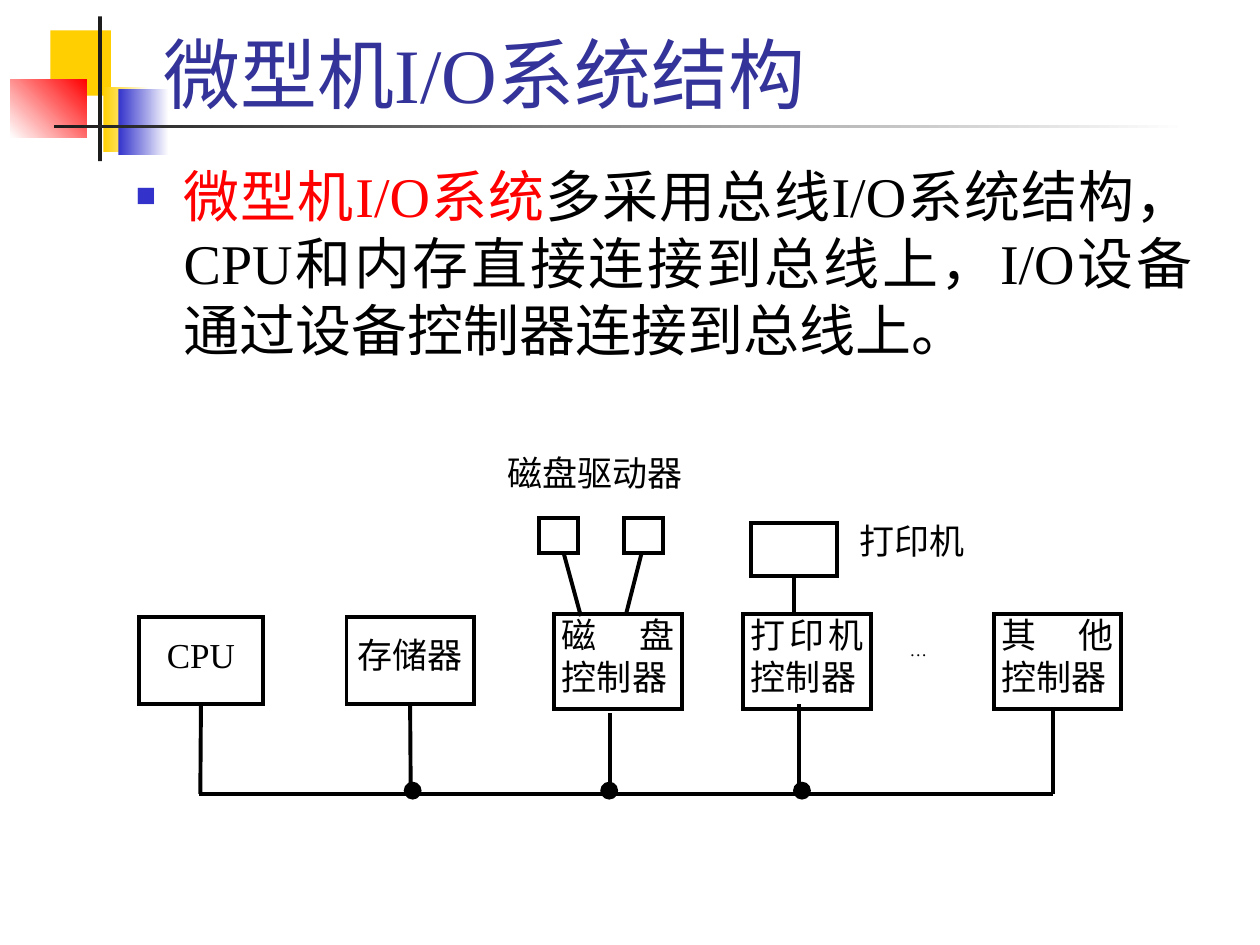
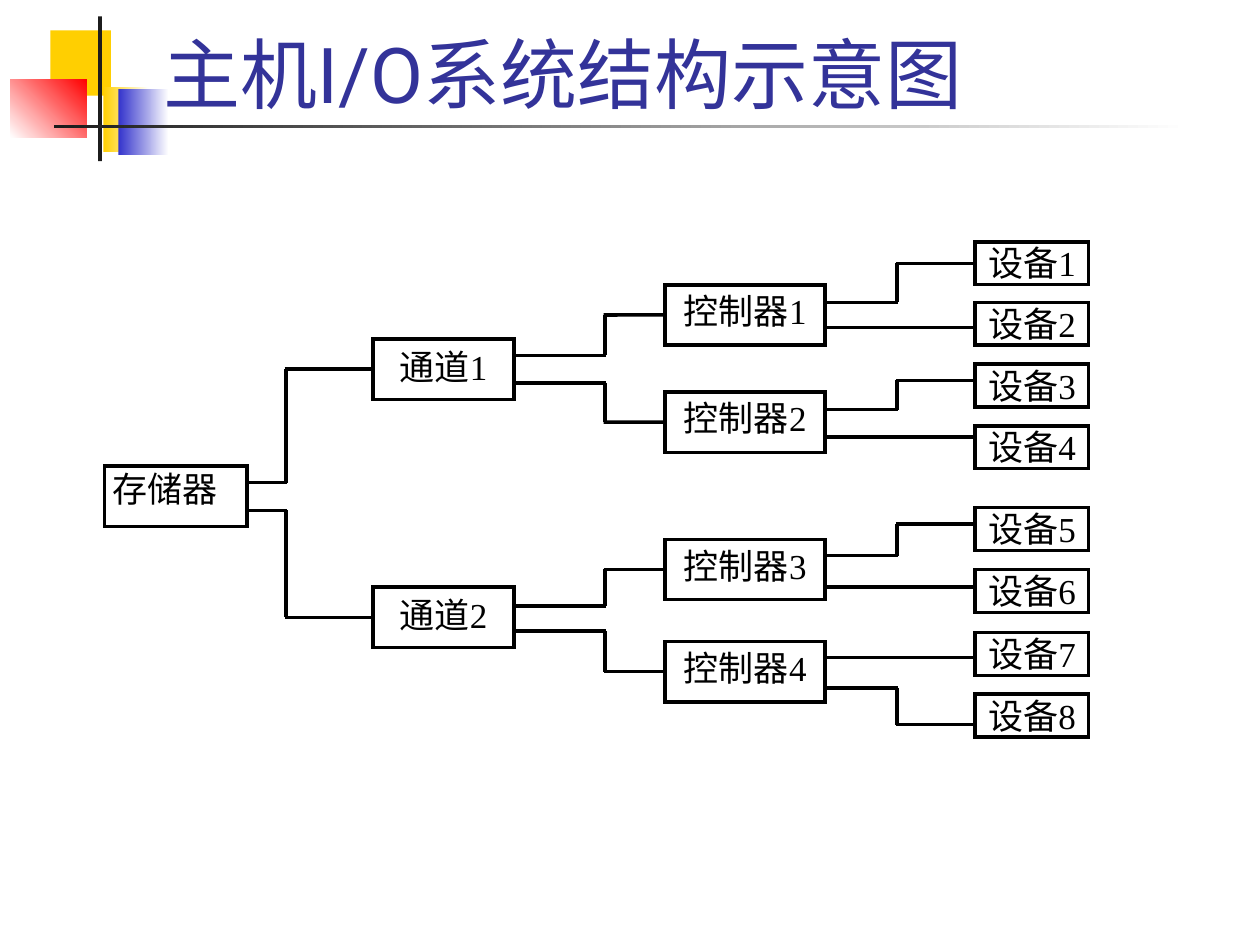
from dataclasses import dataclass
from typing import NamedTuple, Optional

import pptx
import pptx.dml.color
import pptx.enum.dml
import pptx.enum.shapes
import pptx.enum.text
import pptx.oxml
import pptx.oxml.ns
import pptx.util
from pptx.util import Inches

ALIGN = pptx.enum.text.PP_ALIGN
ANCHOR = pptx.enum.text.MSO_ANCHOR
PRESET = pptx.enum.shapes.MSO_SHAPE


@dataclass(frozen=True)
class Theme:
    ink: str = "000000"
    paper: str = "FFFFFF"
    heading: str = "333399"
    blue: str = "3333CC"
    yellow: str = "FFCF01"
    red: str = "FF0000"
    rule: str = "1C1C1C"
    serif: str = "Times New Roman"
    sans: str = "Roboto"
    heading_size: int = 44
    body_size: int = 32
    label_size: int = 20
    ellipsis_size: int = 10
    bus_weight: float = 2.25
    tree_weight: float = 2


THEME = Theme()


class Area(NamedTuple):
    left: float
    top: float
    width: float
    height: float


class Insets(NamedTuple):
    left: float = 0.1
    top: float = 0.05
    right: float = 0.1
    bottom: float = 0.05


class Band(NamedTuple):
    area: Area
    color: str
    fade_to: Optional[str] = None
    angle: int = 0


class Node(NamedTuple):
    label: str
    area: Area
    insets: Insets
    align: ALIGN = ALIGN.CENTER


class Joint(NamedTuple):
    shape: object
    site: int


class Branch(NamedTuple):
    source: str
    target: str
    exit_y: float
    entry_y: float


BANDS = [
    Band(Area(0.4, 0.24, 0.48, 0.52), THEME.yellow),
    Band(Area(0.82, 0.69, 0.36, 0.52), THEME.yellow, THEME.paper),
    Band(Area(0.94, 0.71, 0.4, 0.52), THEME.blue, THEME.paper),
    Band(Area(0.08, 0.63, 0.61, 0.46), THEME.paper, THEME.red, 45),
    Band(Area(0.78, 0.13, 0.03, 1.15), THEME.rule),
    Band(Area(0.43, 0.99, 9, 0.03), THEME.rule, THEME.paper),
]


def rgb(color: str) -> pptx.dml.color.RGBColor:
    return pptx.dml.color.RGBColor.from_string(color)


def apply(target: object, values: dict) -> None:
    for name, value in values.items():
        setattr(target, name, value)


def lengths(area: Area) -> list:
    return [Inches(value) for value in area]


def fill_frame(frame, runs, size: float, align=ALIGN.LEFT, insets=Insets(),
               anchor=ANCHOR.TOP, font: str = THEME.serif):
    """Write one paragraph of (text, color) runs."""
    apply(frame, {"word_wrap": True, "vertical_anchor": anchor})
    apply(frame, {f"margin_{side}": Inches(value)
                  for side, value in insets._asdict().items()})
    paragraph = frame.paragraphs[0]
    paragraph.alignment = align
    for text, color in runs:
        run = paragraph.add_run()
        run.text = text
        apply(run.font, {"name": font, "size": pptx.util.Pt(size)})
        run.font.color.rgb = rgb(color)
    return paragraph


def add_text(slide, area: Area, runs, size: float, **layout):
    return fill_frame(slide.shapes.add_textbox(*lengths(area)).text_frame,
                      runs, size, **layout)


def add_solid(slide, preset, area: Area, color: str, weight: float = 0):
    shape = slide.shapes.add_shape(preset, *lengths(area))
    shape.shadow.inherit = False
    shape.fill.solid()
    shape.fill.fore_color.rgb = rgb(color)
    if weight:
        shape.line.color.rgb = rgb(THEME.ink)
        shape.line.width = pptx.util.Pt(weight)
        # Square outline corners
        outline = shape.element.spPr.find(pptx.oxml.ns.qn("a:ln"))
        outline.append(outline.makeelement(pptx.oxml.ns.qn("a:miter"),
                                           {"lim": "800000"}))
    else:
        shape.line.fill.background()
    return shape


def add_node(slide, node: Node, weight: float):
    box = add_solid(slide, PRESET.RECTANGLE, node.area, THEME.paper, weight)
    fill_frame(box.text_frame, [(node.label, THEME.ink)], THEME.label_size,
               node.align, node.insets)
    return box


def add_wire(slide, start: tuple, end: tuple, weight: float,
             begin: Optional[Joint] = None, finish: Optional[Joint] = None):
    wire = slide.shapes.add_connector(
        pptx.enum.shapes.MSO_CONNECTOR.STRAIGHT,
        *[Inches(value) for value in (*start, *end)])
    wire.line.color.rgb = rgb(THEME.ink)
    wire.line.width = pptx.util.Pt(weight)
    properties = wire.element.spPr
    properties.append(properties.makeelement(pptx.oxml.ns.qn("a:effectLst"), {}))
    if begin:
        wire.begin_connect(*begin)
    if finish:
        wire.end_connect(*finish)


def add_page(deck, title: str, font: str):
    """Start a slide with the corner ornament and the title."""
    slide = deck.slides.add_slide(deck.slide_layouts[6])
    for band in BANDS:
        shape = add_solid(slide, PRESET.RECTANGLE, band.area, band.color)
        if band.fade_to:
            shape.fill.gradient()
            shape.fill.gradient_angle = band.angle
            stops = zip(shape.fill.gradient_stops, (band.color, band.fade_to), (0, 1))
            for stop, color, position in stops:
                stop.color.rgb = rgb(color)
                stop.position = position
    add_text(slide, Area(1.2, 0.16, 8.52, 0.83), [(title, THEME.heading)],
             THEME.heading_size, anchor=ANCHOR.BOTTOM, font=font)
    return slide


def add_square_bullet(paragraph) -> None:
    """Hang the text on a small square and keep punctuation in the margins."""
    properties = paragraph._p.get_or_add_pPr()
    for name, value in (("marL", Inches(0.38)), ("indent", Inches(-0.38)),
                        ("hangingPunct", 0)):
        properties.set(name, str(value))
    namespace = pptx.oxml.ns.nsdecls("a")
    for xml in (
        f'<a:buClr {namespace}><a:srgbClr val="{THEME.blue}"/></a:buClr>',
        f'<a:buSzPct {namespace} val="60000"/>',
        f'<a:buFont {namespace} typeface="{THEME.serif}"/>',
        f'<a:buChar {namespace} char="■"/>',
    ):
        properties.append(pptx.oxml.parse_xml(xml))


def build_bus_slide(deck) -> None:
    slide = add_page(deck, "微型机I/O系统结构", THEME.serif)
    weight = THEME.bus_weight
    summary = add_text(
        slide, Area(0.98, 1.23, 8.58, 1.79),
        [("微型机I/O系统", THEME.red),
         ("多采用总线I/O系统结构，CPU和内存直接连接到总线上，"
          "I/O设备通过设备控制器连接到总线上。", THEME.ink)],
        THEME.body_size, align=ALIGN.JUSTIFY)
    add_square_bullet(summary)

    # Units on the bus
    units = [
        Node("CPU", Area(1.1, 4.9, 0.99, 0.69), Insets(top=0.13)),
        Node("存储器", Area(2.75, 4.9, 1.01, 0.69), Insets(0.02, 0.13, 0.02)),
    ] + [
        Node(label, Area(left, 4.87, 1.01, 0.76), Insets(0.06, 0, 0.06, 0),
             ALIGN.JUSTIFY)
        for label, left in (("磁 盘控制器", 4.4), ("打印机控制器", 5.9),
                            ("其 他控制器", 7.89))
    ]
    cpu, memory, *_ = [add_node(slide, unit, weight) for unit in units]

    # Captions
    no_insets = Insets(0, 0, 0, 0)
    for text, area, size, insets in (
        ("磁盘驱动器", Area(4.03, 3.58, 1.47, 0.42), THEME.label_size, no_insets),
        ("打印机", Area(6.82, 4.12, 0.93, 0.38), THEME.label_size, no_insets),
        ("…", Area(7.12, 5.02, 0.59, 0.57), THEME.ellipsis_size, Insets()),
    ):
        add_text(slide, area, [(text, THEME.ink)], size,
                 align=ALIGN.JUSTIFY, insets=insets)

    # Bus line, drops and junction dots
    bus_y = 6.3
    add_wire(slide, (1.58, bus_y), (8.36, bus_y), weight)
    for x, top, joint in (
        (1.59, 5.59, Joint(cpu, 2)), (3.26, 5.59, Joint(memory, 2)),
        (4.84, 5.66, None), (6.34, 5.59, None), (8.36, 5.64, None),
    ):
        add_wire(slide, (x, top), (x, bus_y), weight, begin=joint)
    for left in (3.22, 4.78, 6.31):
        add_solid(slide, PRESET.OVAL, Area(left, 6.22, 0.11, 0.11), THEME.ink, weight)

    # Drives and printer above their controllers
    add_wire(slide, (4.46, 4.34), (4.61, 4.89), weight)
    add_wire(slide, (5.11, 4.32), (4.97, 4.87), weight)
    for left in (4.28, 4.95):
        add_solid(slide, PRESET.RECTANGLE, Area(left, 4.11, 0.31, 0.28),
                  THEME.paper, weight)
    printer = add_solid(slide, PRESET.RECTANGLE, Area(5.96, 4.15, 0.68, 0.42),
                        THEME.paper, weight)
    add_wire(slide, (6.3, 4.57), (6.3, 4.87), weight, begin=Joint(printer, 2))


def add_branch(slide, branch: Branch, nodes: dict, boxes: dict, trunk_x: float) -> None:
    """Run from a node's right side to the next node, stepping at the trunk."""
    weight, overlap = THEME.tree_weight, 0.01
    source, target = nodes[branch.source].area, nodes[branch.target].area
    start_x, end_x = source.left + source.width, target.left
    middle = target.top + target.height / 2
    centred = abs(branch.entry_y - middle) < 0.03
    entry_y = middle if centred else branch.entry_y
    joint = Joint(boxes[branch.target], 1) if centred else None
    if branch.exit_y == branch.entry_y:
        add_wire(slide, (start_x, branch.exit_y), (end_x, branch.exit_y), weight)
        return
    add_wire(slide, (start_x, branch.exit_y), (trunk_x + overlap, branch.exit_y), weight)
    add_wire(slide, (trunk_x, branch.exit_y), (trunk_x, entry_y), weight)
    add_wire(slide, (trunk_x - overlap, entry_y), (end_x, entry_y), weight, finish=joint)


def build_tree_slide(deck) -> None:
    slide = add_page(deck, "主机I/O系统结构示意图", THEME.sans)

    # Memory, channels, controllers, devices
    tree = [Node("存储器", Area(0.83, 3.7, 1.13, 0.48),
                 Insets(0.06, 0.01, 0.06, 0.04), ALIGN.JUSTIFY)]
    device_tops = (1.92, 2.4, 2.89, 3.38, 4.03, 4.52, 5.02, 5.51)
    for name, left, width, height, tops, insets in (
        ("通道", 2.96, 1.12, 0.48, (2.69, 4.66), Insets(0.06, 0.05, 0.06, 0.04)),
        ("控制器", 5.28, 1.27, 0.48, (2.26, 3.11, 4.28, 5.09),
         Insets(0.06, 0.04, 0.06, 0.04)),
        ("设备", 7.74, 0.9, 0.34, device_tops, Insets(0.06, 0, 0.06, 0)),
    ):
        tree += [Node(f"{name}{number}", Area(left, top, width, height), insets)
                 for number, top in enumerate(tops, 1)]
    nodes = {node.label: node for node in tree}
    boxes = {node.label: add_node(slide, node, THEME.tree_weight) for node in tree}

    # Branches, grouped by the trunk they step at
    trunks = {
        2.27: [Branch("存储器", "通道1", 3.83, 2.95),
               Branch("存储器", "通道2", 4.05, 4.91)],
        4.8: [Branch("通道1", "控制器1", 2.82, 2.51),
              Branch("通道1", "控制器2", 3.04, 3.34),
              Branch("通道2", "控制器3", 4.81, 4.5),
              Branch("通道2", "控制器4", 5.01, 5.31)],
        7.12: [Branch("控制器1", "设备1", 2.4, 2.08),
               Branch("控制器1", "设备2", 2.6, 2.6),
               Branch("控制器2", "设备3", 3.25, 3.02),
               Branch("控制器2", "设备4", 3.47, 3.47),
               Branch("控制器3", "设备5", 4.41, 4.16),
               Branch("控制器3", "设备6", 4.66, 4.66),
               Branch("控制器4", "设备7", 5.22, 5.22),
               Branch("控制器4", "设备8", 5.46, 5.75)],
    }
    for trunk_x, branches in trunks.items():
        for branch in branches:
            add_branch(slide, branch, nodes, boxes, trunk_x)
    add_wire(slide, (8.02, 2.89), (8.61, 2.89), THEME.tree_weight)


def main() -> None:
    deck = pptx.Presentation()
    apply(deck, {"slide_width": Inches(10), "slide_height": Inches(7.5)})
    build_bus_slide(deck)
    build_tree_slide(deck)
    deck.save("out.pptx")


if __name__ == "__main__":
    main()
